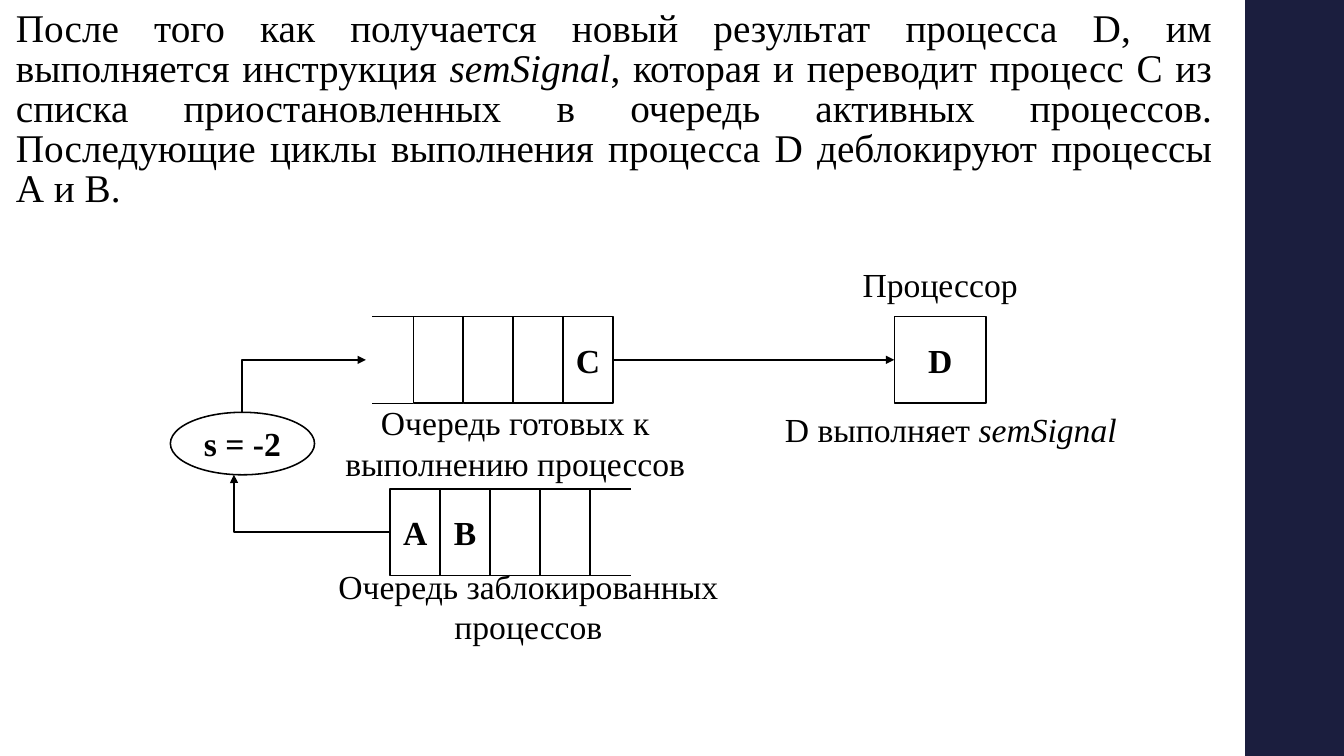
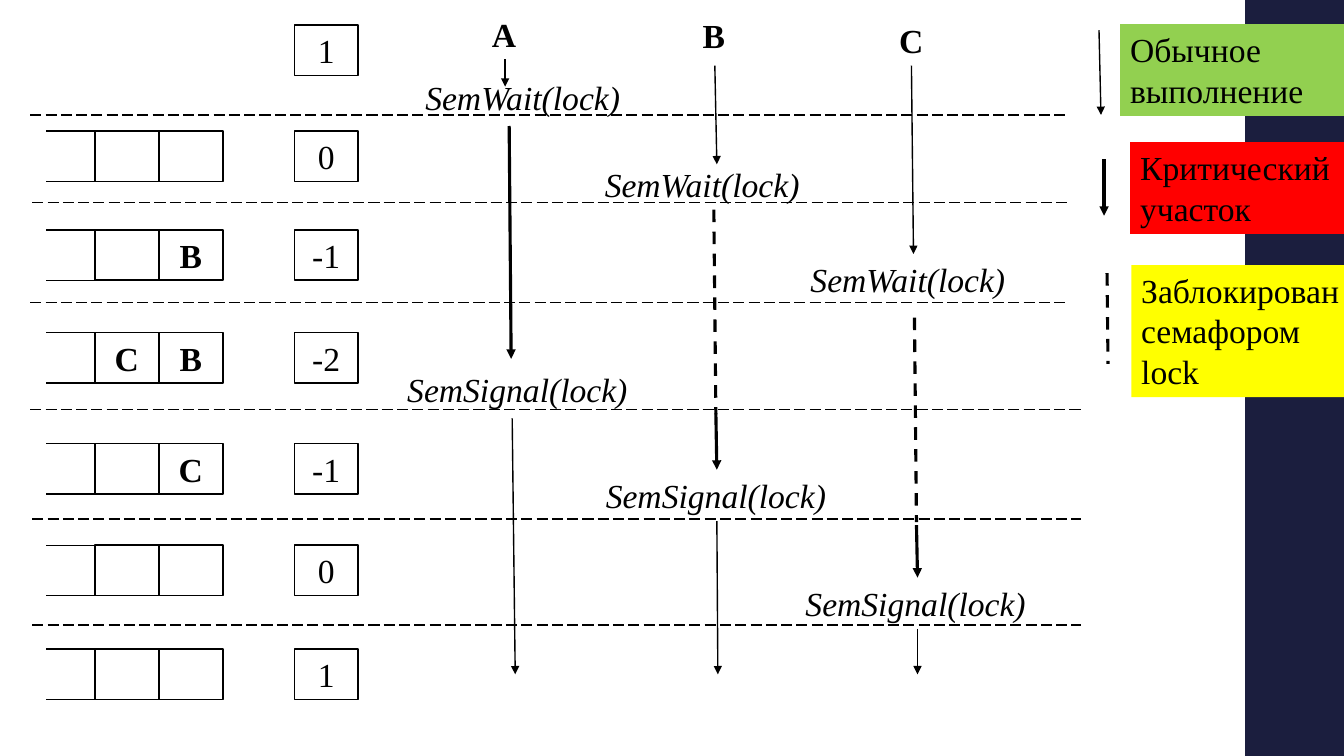
from pptx import Presentation
from pptx.dml.color import RGBColor
from pptx.enum.dml import MSO_LINE
from pptx.enum.shapes import MSO_CONNECTOR, MSO_SHAPE
from pptx.enum.text import MSO_ANCHOR, PP_ALIGN
from pptx.oxml.ns import qn
from pptx.util import Inches, Pt
from lxml.etree import SubElement

BLACK = RGBColor(0x00, 0x00, 0x00)
WHITE = RGBColor(0xFF, 0xFF, 0xFF)
NAVY = RGBColor(0x1B, 0x1E, 0x3E)
GREEN = RGBColor(0x92, 0xD0, 0x50)
RED = RGBColor(0xFF, 0x00, 0x00)
YELLOW = RGBColor(0xFF, 0xFF, 0x00)
FONT = "Times New Roman"
WIDE, HIGH = 13.33, 7.5
THIN, THICK = 1, 2.25

INTRO = [
    ("После того как получается новый результат процесса D, им выполняется инструкция ", ""),
    ("semSignal", "i"),
    (", которая и переводит процесс С из списка приостановленных в очередь активных процессов. "
     "Последующие циклы выполнения процесса D деблокируют процессы А и В.", ""),
]
NOTES = [
    ((3.27, 3.94, 3.68, 0.91), [("Очередь готовых к выполнению процессов", "")]),
    ((3.05, 5.56, 4.38, 0.91), [("Очередь заблокированных процессов", "")]),
    ((7.86, 2.57, 2.93, 0.5), [("Процессор", "")]),
    ((7.59, 4.01, 3.68, 0.5), [("D выполняет ", ""), ("semSignal", "i")]),
]
ELBOWS = [
    ((3.87, 5.28), (2.32, 4.71), "tail"),
    ((3.63, 3.57), (2.4, 4.09), "head"),
]

START = (0.25, "1")
STATES = [
    (1.3, ["", ""], "0"),
    (2.28, ["", "B"], "-1"),
    (3.3, ["C", "B"], "-2"),
    (4.4, ["", "C"], "-1"),
    (5.41, ["", ""], "0"),
    (6.44, ["", ""], "1"),
]
RULES = [
    (0.3, 10.6, 1.14), (0.32, 10.6, 2.01), (0.3, 10.6, 3),
    (0.3, 10.72, 4.06), (0.32, 10.72, 5.15), (0.32, 10.72, 6.2),
]
HEADS = [("A", 4.78, 0.09), ("B", 6.87, 0.1), ("C", 8.82, 0.15)]
CALLS = [
    ("SemWait(lock)", 2.23, [(4.12, 0.71), (5.9, 1.58), (7.94, 2.52)]),
    ("SemSignal(lock)", 2.41, [(3.94, 3.61), (5.91, 4.66), (7.89, 5.73)]),
]
STYLES = {
    "run": (THIN, None, "tail"),
    "lock": (THICK, None, "tail"),
    "wait": (THICK, MSO_LINE.DASH, None),
}
FLOWS = [
    ("run", [
        ((5.01, 0.59), (5.01, 0.86)), ((7.09, 0.65), (7.11, 1.63)),
        ((9.04, 0.65), (9.06, 2.52)), ((5.08, 4.15), (5.11, 6.69)),
        ((7.11, 5.17), (7.12, 6.69)), ((9.1, 6.24), (9.1, 6.69)),
        ((10.9, 0.3), (10.92, 1.14)),
    ]),
    ("lock", [
        ((5.05, 1.25), (5.07, 3.56)), ((7.1, 4.1), (7.11, 4.66)),
        ((9.09, 5.21), (9.1, 5.73)), ((10.95, 1.58), (10.95, 2.14)),
    ]),
    ("wait", [
        ((7.08, 2.08), (7.1, 4.11)), ((9.07, 3.15), (9.09, 5.18)),
        ((10.98, 2.71), (10.99, 3.61)),
    ]),
]
LEGEND = [
    ("Обычное выполнение", 11.11, 0.24, 0.91, GREEN),
    ("Критический участок", 11.21, 1.41, 0.91, RED),
    ("Заблокирован семафором lock", 11.22, 2.63, 1.31, YELLOW),
]


def write(frame, runs, align=PP_ALIGN.LEFT, size=24):
    para = frame.paragraphs[0]
    para.alignment = align
    for text, style in runs:
        run = para.add_run()
        run.text = text
        font = run.font
        font.name, font.size = FONT, Pt(size)
        font.color.rgb = BLACK
        font.bold, font.italic = "b" in style, "i" in style
    return para


def label(slide, at, runs, align=PP_ALIGN.LEFT, size=24, wrap=True):
    frame = slide.shapes.add_textbox(*map(Inches, at)).text_frame
    frame.word_wrap = wrap
    return write(frame, runs, align, size)


def block(slide, at, fill, kind=MSO_SHAPE.RECTANGLE):
    shape = slide.shapes.add_shape(kind, *map(Inches, at))
    shape.shadow.inherit = False
    shape.fill.solid()
    shape.fill.fore_color.rgb = fill
    shape.line.fill.background()
    return shape


def box(slide, at, text="", style="b", kind=MSO_SHAPE.RECTANGLE):
    shape = block(slide, at, WHITE, kind)
    shape.line.color.rgb = BLACK
    shape.line.width = Pt(1.1)
    if text:
        frame = shape.text_frame
        frame.margin_left = frame.margin_right = 0
        frame.vertical_anchor = MSO_ANCHOR.MIDDLE
        write(frame, [(text, style)], PP_ALIGN.CENTER)
    return shape


def link(slide, start, end, width=THIN, dash=None, arrow=None, kind=MSO_CONNECTOR.STRAIGHT):
    line = slide.shapes.add_connector(kind, *map(Inches, start + end))
    line.line.color.rgb = BLACK
    line.line.width = Pt(width)
    if dash:
        line.line.dash_style = dash
    props = line._element.spPr
    if arrow:
        SubElement(props.find(qn("a:ln")), qn(f"a:{arrow}End"), type="triangle")
    SubElement(props, qn("a:effectLst"))
    return line


def elbow(slide, start, end, arrow):
    line = link(slide, start, end, 1.5, arrow=arrow, kind=MSO_CONNECTOR.ELBOW)
    geom = line._element.spPr.find(qn("a:prstGeom"))
    marks = geom.find(qn("a:avLst"))
    if marks is None:
        marks = SubElement(geom, qn("a:avLst"))
    SubElement(marks, qn("a:gd"), name="adj1", fmla="val 99900")


def queue(slide, left, top, span, high, names, open_at, tail):
    wide = span / len(names)
    cells = [box(slide, (left + i * wide, top, wide, high), name)
             for i, name in enumerate(names)]
    for y in (top, top + high):
        link(slide, (open_at, y), (open_at + tail, y))
    return cells


def page(deck):
    slide = deck.slides.add_slide(deck.slide_layouts[6])
    block(slide, (12.35, 0, WIDE - 12.35, HIGH), NAVY)
    return slide


def signal(deck):
    slide = page(deck)
    para = label(slide, (0.06, 0.06, 12.06, 2.09), INTRO, PP_ALIGN.JUSTIFY, 28)
    para.line_spacing = 0.85
    ready = queue(slide, 4.1, 3.14, 1.98, 0.86, ["", "", "", "C"], 4.1, -0.41)
    queue(slide, 3.87, 4.85, 1.98, 0.86, ["A", "B", "", ""], 5.85, 0.41)
    chip = box(slide, (8.87, 3.14, 0.91, 0.86), "D")
    box(slide, (1.69, 4.09, 1.43, 0.62), "s = -2", kind=MSO_SHAPE.OVAL)
    for start, end, arrow in ELBOWS:
        elbow(slide, start, end, arrow)
    line = link(slide, (6.08, 3.57), (8.87, 3.57), 1.5, arrow="tail")
    line.begin_connect(ready[-1], 3)
    line.end_connect(chip, 1)
    for at, runs in NOTES:
        label(slide, at, runs, PP_ALIGN.CENTER)


def trace(deck):
    slide = page(deck)
    for left, right, y in RULES:
        link(slide, (left, y), (right, y), dash=MSO_LINE.LONG_DASH)
    for top, names, count in STATES:
        queue(slide, 0.94, top, 1.27, 0.5, names, 0.94, -0.48)
        box(slide, (2.92, top, 0.63, 0.5), count, "")
    top, count = START
    box(slide, (2.92, top, 0.63, 0.5), count, "")
    for name, left, top in HEADS:
        label(slide, (left, top, 0.45, 0.5), [(name, "b")], wrap=False)
    for text, wide, spots in CALLS:
        for left, top in spots:
            label(slide, (left, top, wide, 0.5), [(text, "i")], wrap=False)
    for style, lines in FLOWS:
        for start, end in lines:
            link(slide, start, end, *STYLES[style])
    for text, left, top, high, fill in LEGEND:
        frame = block(slide, (left, top, WIDE - left, high), fill).text_frame
        frame.word_wrap = True
        frame.margin_right = 0
        frame.vertical_anchor = MSO_ANCHOR.TOP
        write(frame, [(text, "")])


def main():
    deck = Presentation()
    deck.slide_width, deck.slide_height = Inches(WIDE), Inches(HIGH)
    signal(deck)
    trace(deck)
    deck.save("out.pptx")


if __name__ == "__main__":
    main()
